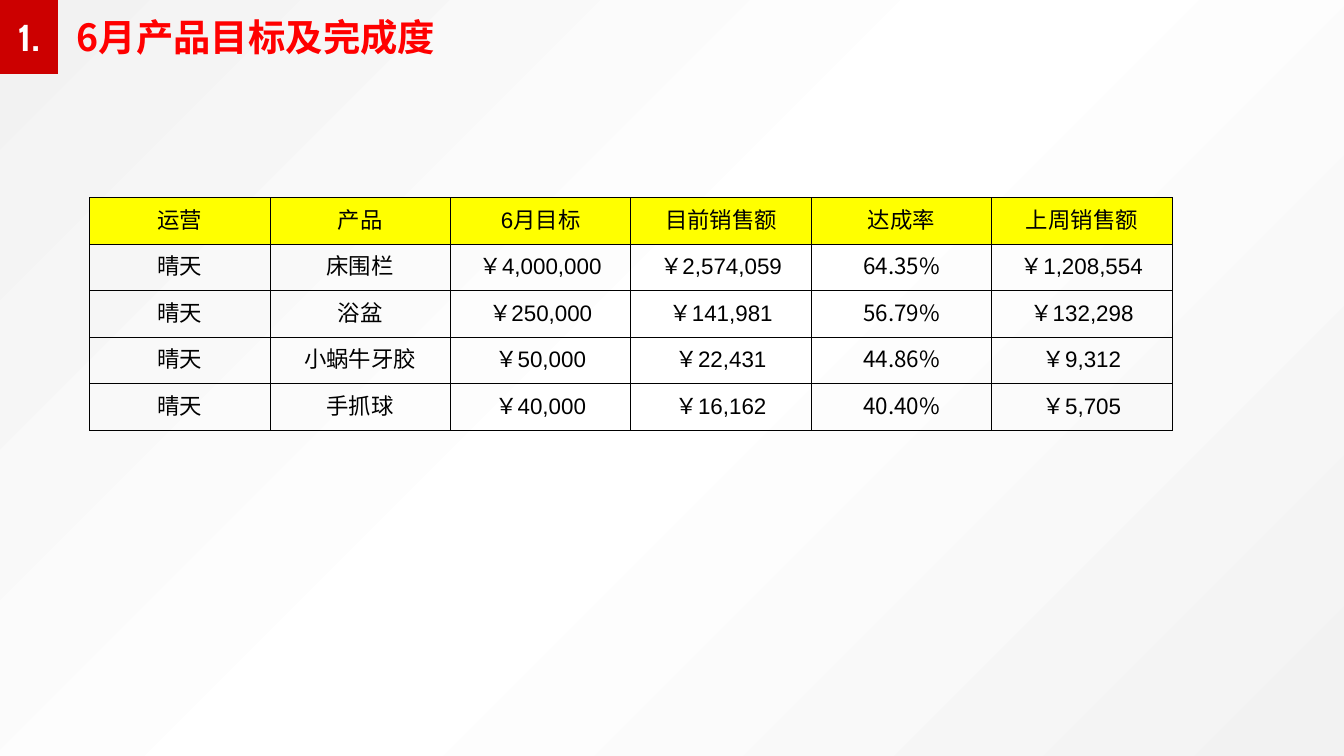
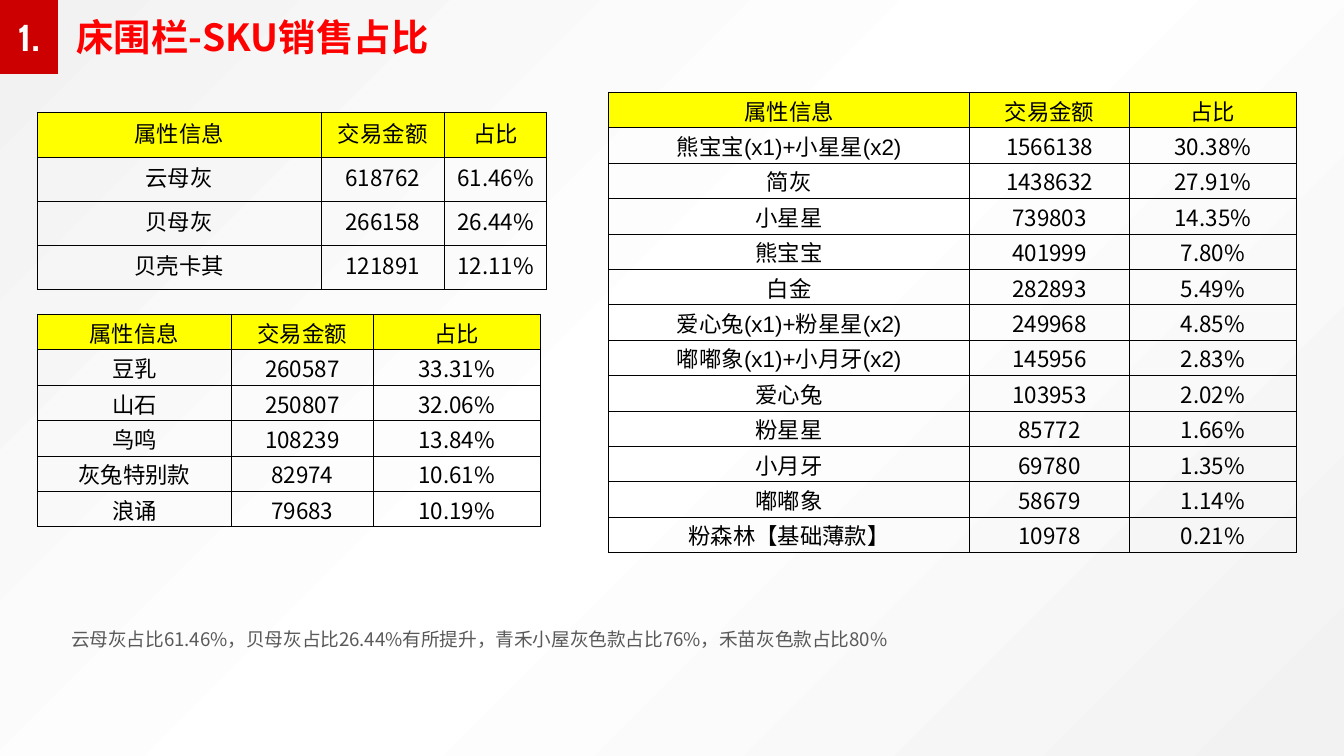
from dataclasses import dataclass
from lxml.etree import SubElement
from pptx import Presentation
from pptx.dml.color import RGBColor
from pptx.enum.shapes import MSO_SHAPE
from pptx.enum.text import MSO_ANCHOR, MSO_AUTO_SIZE, PP_ALIGN
from pptx.oxml import parse_xml
from pptx.oxml.ns import nsdecls, qn
from pptx.util import Pt


@dataclass(frozen=True)
class Theme:
    badge: str = "CC0000"
    title: str = "FF0000"
    head: str = "FFFF00"
    ink: str = "000000"
    note: str = "595959"
    pale: str = "F2F2F2"
    white: str = "FFFFFF"
    han: str = "Noto Sans CJK SC"
    latin: str = "Arial"
    mark: str = "Cabin"
    large: int = 20
    body: int = 12
    small: int = 10


T = Theme()
WIDE, HIGH = 720, 405

GOALS = [
    ("运营", "产品", "6月目标", "目前销售额", "达成率", "上周销售额"),
    ("晴天", "床围栏", "￥4,000,000", "￥2,574,059", "64.35%", "￥1,208,554"),
    ("晴天", "浴盆", "￥250,000", "￥141,981", "56.79%", "￥132,298"),
    ("晴天", "小蜗牛牙胶", "￥50,000", "￥22,431", "44.86%", "￥9,312"),
    ("晴天", "手抓球", "￥40,000", "￥16,162", "40.40%", "￥5,705"),
]
HEADS = ("属性信息", "交易金额", "占比")
GREYS = [
    HEADS,
    ("云母灰", "618762", "61.46%"),
    ("贝母灰", "266158", "26.44%"),
    ("贝壳卡其", "121891", "12.11%"),
]
STONES = [
    HEADS,
    ("豆乳", "260587", "33.31%"),
    ("山石", "250807", "32.06%"),
    ("鸟鸣", "108239", "13.84%"),
    ("灰兔特别款", "82974", "10.61%"),
    ("浪诵", "79683", "10.19%"),
]
BEARS = [
    HEADS,
    ("熊宝宝(x1)+小星星(x2)", "1566138", "30.38%"),
    ("简灰", "1438632", "27.91%"),
    ("小星星", "739803", "14.35%"),
    ("熊宝宝", "401999", "7.80%"),
    ("白金", "282893", "5.49%"),
    ("爱心兔(x1)+粉星星(x2)", "249968", "4.85%"),
    ("嘟嘟象(x1)+小月牙(x2)", "145956", "2.83%"),
    ("爱心兔", "103953", "2.02%"),
    ("粉星星", "85772", "1.66%"),
    ("小月牙", "69780", "1.35%"),
    ("嘟嘟象", "58679", "1.14%"),
    ("粉森林【基础薄款】", "10978", "0.21%"),
]
NOTE = "云母灰占比61.46%，贝母灰占比26.44%有所提升，青禾小屋灰色款占比76%，禾苗灰色款占比80%"


def points(box):
    return [Pt(n) for n in box]


def write(frame, text, font=T.han, size=T.body, color=T.ink, bold=False,
          align=None, space=None):
    para = frame.paragraphs[0]
    para.alignment = align
    para.line_spacing = space
    run = para.add_run()
    run.text = text
    run.font.name = font
    run.font.size = Pt(size)
    run.font.bold = bold
    run.font.color.rgb = RGBColor.from_string(color)
    SubElement(run.font._element, qn("a:ea")).set("typeface", T.han)


def add_text(slide, box, text, grow=False, **form):
    frame = slide.shapes.add_textbox(*points(box)).text_frame
    frame.word_wrap = True
    if grow:
        frame.auto_size = MSO_AUTO_SIZE.SHAPE_TO_FIT_TEXT
    write(frame, text, **form)


def paint(slide):
    stops = "".join(
        f'<a:gs pos="{spot}"><a:srgbClr val="{color}"/></a:gs>'
        for spot, color in ((0, T.pale), (50000, T.white), (100000, T.pale)))
    back = parse_xml(
        f'<p:bg {nsdecls("p", "a")}><p:bgPr><a:gradFill><a:gsLst>{stops}</a:gsLst>'
        '<a:path path="circle"><a:fillToRect l="100000" t="100000"/></a:path>'
        '</a:gradFill><a:effectLst/></p:bgPr></p:bg>')
    slide.element.cSld.insert(0, back)


def add_head(slide, box, text):
    left, top, width, height = box
    badge = slide.shapes.add_shape(
        MSO_SHAPE.RECTANGLE, *points((left, top, 31, height)))
    badge.shadow.inherit = False
    badge.fill.solid()
    badge.fill.fore_color.rgb = RGBColor.from_string(T.badge)
    badge.line.fill.background()
    badge.text_frame.vertical_anchor = MSO_ANCHOR.MIDDLE
    write(badge.text_frame, "1.", font=T.mark, size=T.large, color=T.white,
          bold=True, align=PP_ALIGN.CENTER)
    add_text(slide, (left + 34, top + 4, width - 34, 31.5), text, grow=True,
             size=T.large, color=T.title, bold=True)


def rule(cell):
    props = cell._tc.get_or_add_tcPr()
    for spot, side in enumerate(("lnL", "lnR", "lnT", "lnB")):
        props.insert(spot, parse_xml(
            f'<a:{side} {nsdecls("a")} w="{Pt(0.5)}"><a:solidFill>'
            f'<a:srgbClr val="{T.ink}"/></a:solidFill></a:{side}>'))


def add_cell(cell, text, head):
    cell.margin_left = cell.margin_right = Pt(0.72)
    cell.margin_top = Pt(0.95)
    cell.margin_bottom = Pt(3.6)
    cell.vertical_anchor = MSO_ANCHOR.MIDDLE
    if head:
        cell.fill.solid()
        cell.fill.fore_color.rgb = RGBColor.from_string(T.head)
    else:
        cell.fill.background()
    rule(cell)
    plain = not text.strip("0123456789.%")
    write(cell.text_frame, text, font=T.han if plain else T.latin,
          align=PP_ALIGN.CENTER)


def add_grid(slide, box, rows, parts):
    grid = slide.shapes.add_table(len(rows), len(parts), *points(box)).table
    grid.first_row = grid.horz_banding = False
    for col, part in zip(grid.columns, parts):
        col.width = Pt(round(box[2] * part / sum(parts), 2))
    for r, row in enumerate(rows):
        for c, text in enumerate(row):
            add_cell(grid.cell(r, c), text, r == 0)


def add_page(deck, title, width):
    slide = deck.slides.add_slide(deck.slide_layouts[6])
    paint(slide)
    add_head(slide, (0, 0, width, 39.6), title)
    return slide


def add_goals(deck):
    slide = add_page(deck, "6月产品目标及完成度", 240.5)
    add_grid(slide, (48, 106, 580, 124.5), GOALS, [1] * 6)


def add_sales(deck):
    slide = add_page(deck, "床围栏-SKU销售占比", 238.5)
    add_text(slide, (31, 327, 567, 36), NOTE, size=T.small, color=T.note,
             space=1.5)
    add_grid(slide, (20, 60.5, 273, 94.5), GREYS, (152, 66, 55))
    add_grid(slide, (20, 168.5, 269.5, 100), STONES, (104, 76, 89.5))
    add_grid(slide, (326, 49.5, 368.5, 211), BEARS, (193.5, 85.5, 89.5))


def main():
    deck = Presentation()
    deck.slide_width, deck.slide_height = Pt(WIDE), Pt(HIGH)
    add_goals(deck)
    add_sales(deck)
    deck.save("out.pptx")


if __name__ == "__main__":
    main()
